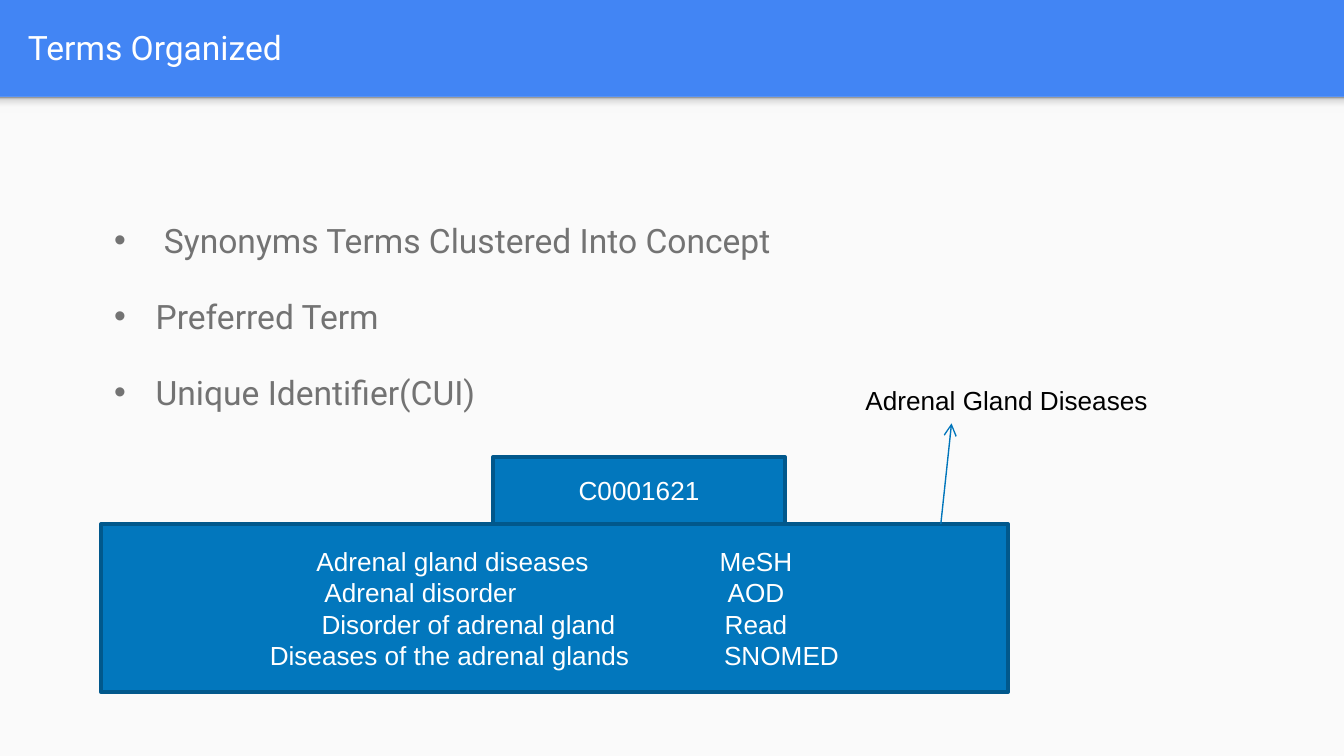
import pptx
import pptx.util
import pptx.dml.color
import pptx.enum.shapes
import pptx.enum.text
import pptx.oxml
import pptx.oxml.ns
from lxml import etree
from dataclasses import dataclass

Inches = pptx.util.Inches
Pt = pptx.util.Pt
RGB = pptx.dml.color.RGBColor.from_string
ALIGN = pptx.enum.text.PP_ALIGN
ANCHOR = pptx.enum.text.MSO_ANCHOR
RECT = pptx.enum.shapes.MSO_SHAPE.RECTANGLE
DRAWING = pptx.oxml.ns.nsdecls("a")


@dataclass
class Theme:
    header: str = "4285F4"
    page: str = "FAFAFA"
    white: str = "FFFFFF"
    black: str = "000000"
    grey: str = "737373"
    block: str = "0277BD"
    edge: str = "01588C"
    arrow: str = "0075BB"
    shade: tuple = ((0, "F9F9F9"), (36, "F9F9F9"), (80, "DEDEDE"), (100, "999999"))
    heading_size: int = 18
    label_size: int = 14


theme = Theme()


def write(box, lines, size, color, font="Arial", align=ALIGN.LEFT,
          anchor=ANCHOR.TOP, margin=0.05, wrap=True):
    """Fill a box with one paragraph per line and return the paragraphs."""
    frame = box.text_frame
    frame.word_wrap = wrap
    frame.vertical_anchor = anchor
    frame.margin_left = frame.margin_right = Inches(0.1)
    frame.margin_top = frame.margin_bottom = Inches(margin)
    for index, line in enumerate(lines):
        para = frame.add_paragraph() if index else frame.paragraphs[0]
        para.alignment = align
        span = para.add_run()
        span.text = line
        span.font.name = font
        span.font.size = Pt(size)
        span.font.color.rgb = RGB(color)
    return frame.paragraphs


def add_rect(left, top, width, height, fill, edge=None):
    """Add a flat rectangle, outlined only when an edge colour is given."""
    shape = page.shapes.add_shape(
        RECT, Inches(left), Inches(top), Inches(width), Inches(height))
    shape.shadow.inherit = False
    shape.fill.solid()
    shape.fill.fore_color.rgb = RGB(fill)
    if edge:
        shape.line.color.rgb = RGB(edge)
        shape.line.width = Pt(2)
    else:
        shape.line.fill.background()
    return shape


# A 16:9 slide
deck = pptx.Presentation()
deck.slide_width = Inches(10)
deck.slide_height = Inches(10) * 9 // 16
page = deck.slides.add_slide(deck.slide_layouts[6])

# Header colour, content area and the soft shade below the header
page.background.fill.solid()
page.background.fill.fore_color.rgb = RGB(theme.header)
add_rect(0, 0.72, 10, 4.91, theme.page)
shade = add_rect(0, 0.72, 10, 0.12, theme.page)
shade.fill.gradient()
shade.fill.gradient_angle = 90
stops = shade._element.spPr.find(".//" + pptx.oxml.ns.qn("a:gsLst"))
for stop in list(stops):
    stops.remove(stop)
for percent, color in theme.shade:
    stops.append(pptx.oxml.parse_xml(
        f'<a:gs {DRAWING} pos="{percent * 1000}"><a:srgbClr val="{color}"/></a:gs>'))

# Title
title = page.shapes.add_textbox(Inches(0.11), Inches(0.02), Inches(9.65), Inches(0.66))
write(title, ["Terms Organized"], theme.heading_size, theme.white, font="Roboto",
      anchor=ANCHOR.MIDDLE, margin=0.1)

# Bullet list
points = page.shapes.add_textbox(Inches(0.75), Inches(1.49), Inches(8.99), Inches(2.96))
for para in write(points, [" Synonyms Terms Clustered Into Concept", "Preferred Term",
                           "Unique Identifier(CUI)"],
                  theme.heading_size, theme.grey, font="Roboto", margin=0.1):
    para.line_spacing = 1.15
    para.space_after = Pt(16)
    props = para._p.get_or_add_pPr()
    props.set("marL", str(Inches(0.31)))
    props.set("indent", str(-Inches(0.31)))
    for bullet in (f'<a:buClr {DRAWING}><a:srgbClr val="{theme.grey}"/></a:buClr>',
                   f'<a:buFont {DRAWING} typeface="Arial"/>',
                   f'<a:buChar {DRAWING} char="•"/>'):
        props.append(pptx.oxml.parse_xml(bullet))

# Concept block: each term, its vocabulary and the tab stop between them
terms = [
    ("Adrenal gland diseases", "MeSH", 3),
    ("Adrenal disorder", "AOD", 3),
    ("Disorder of adrenal gland", "Read", 3),
    ("Diseases of the adrenal glands", "SNOMED", 3.38),
]
concept = add_rect(0.75, 3.9, 6.75, 1.25, theme.block, theme.edge)
rows = write(concept, [f"{term}\t{source}" for term, source, _ in terms],
             theme.label_size, theme.white, align=ALIGN.CENTER, anchor=ANCHOR.MIDDLE)
for para, (_, _, stop) in zip(rows, terms):
    para._p.get_or_add_pPr().append(pptx.oxml.parse_xml(
        f'<a:tabLst {DRAWING}><a:tab pos="{Inches(stop)}" algn="l"/></a:tabLst>'))

# Identifier on top of the concept block
identifier = add_rect(3.67, 3.4, 2.17, 0.5, theme.block, theme.edge)
write(identifier, ["C0001621"], theme.label_size, theme.white,
      align=ALIGN.CENTER, anchor=ANCHOR.MIDDLE)

# Arrow to the preferred term
arrow = page.shapes.add_connector(
    pptx.enum.shapes.MSO_CONNECTOR.STRAIGHT,
    Inches(7), Inches(3.9), Inches(7.08), Inches(3.15))
arrow.line.color.rgb = RGB(theme.arrow)
arrow.line.width = Pt(0.75)
outline = arrow._element.spPr.find(pptx.oxml.ns.qn("a:ln"))
etree.SubElement(outline, pptx.oxml.ns.qn("a:tailEnd"), type="arrow")
etree.SubElement(arrow._element.spPr, pptx.oxml.ns.qn("a:effectLst"))

# Preferred term
preferred = page.shapes.add_textbox(Inches(6.34), Inches(2.81), Inches(2.31), Inches(0.34))
write(preferred, ["Adrenal Gland Diseases"], theme.label_size, theme.black, wrap=False)

deck.save("out.pptx")
